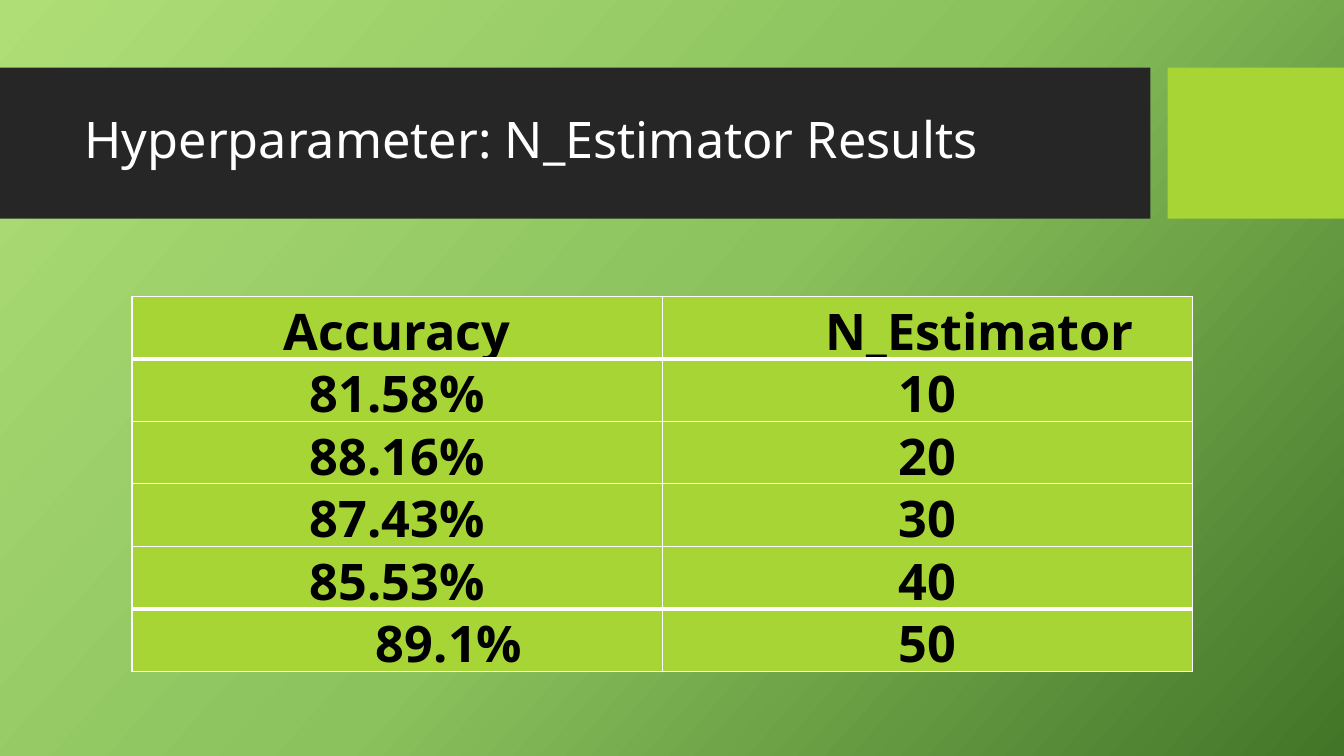
import copy
import pptx
import pptx.util
import pptx.dml.color
import pptx.enum.shapes
import pptx.enum.text
import pptx.oxml
import pptx.oxml.ns
from dataclasses import dataclass

Inches, Pt = pptx.util.Inches, pptx.util.Pt
RGB = pptx.dml.color.RGBColor.from_string
qn = pptx.oxml.ns.qn
Align = pptx.enum.text.PP_ALIGN
Anchor = pptx.enum.text.MSO_ANCHOR

# Content
TITLE = "Hyperparameter: N_Estimator Results"
ROWS = [
    ("Accuracy", "N_Estimator"),
    ("81.58%", "10"),
    ("88.16%", "20"),
    ("87.43%", "30"),
    ("85.53%", "40"),
    ("89.1%", "50"),
]
INDENTED = {"N_Estimator", "89.1%"}


@dataclass(frozen=True)
class Theme:
    font: str = "Noto Sans"
    size: int = 36
    dark: str = "262626"
    lime: str = "A7D535"
    white: str = "FFFFFF"
    black: str = "000000"
    grad: tuple = ((0, "AFDE77"), (0.5, "8BC25D"), (1, "437528"))
    angle: int = 318
    thin: int = 1
    thick: int = 3


THEME = Theme()


def paint(slide):
    fill = slide.background.fill
    fill.gradient()
    fill.gradient_angle = THEME.angle
    stops = next(slide.element.iter(qn("a:gsLst")))
    stops.insert(1, copy.deepcopy(stops[0]))
    for stop, (place, color) in zip(fill.gradient_stops, THEME.grad):
        stop.position = place
        stop.color.rgb = RGB(color)


def block(slide, left, width, color):
    rect = slide.shapes.add_shape(
        pptx.enum.shapes.MSO_SHAPE.RECTANGLE,
        Inches(left), Inches(0.67), Inches(width), Inches(1.5))
    rect.shadow.inherit = False
    rect.fill.solid()
    rect.fill.fore_color.rgb = RGB(color)
    rect.line.fill.background()


def write(frame, text, color, bold=False):
    frame.text = text
    para = frame.paragraphs[0]
    font = para.runs[0].font
    font.name, font.size, font.bold = THEME.font, Pt(THEME.size), bold
    font.color.rgb = RGB(color)
    return para


def border(cell, widths):
    props = cell._tc.get_or_add_tcPr()
    for index, (side, width) in enumerate(zip("LRTB", widths)):
        line = pptx.oxml.parse_xml(
            f'<a:ln{side} {pptx.oxml.ns.nsdecls("a")} w="{Pt(width)}">'
            f'<a:solidFill><a:srgbClr val="{THEME.white}"/></a:solidFill>'
            f'</a:ln{side}>')
        props.insert(index, line)


def grid(slide):
    count = len(ROWS)
    table = slide.shapes.add_table(
        count, 2, Inches(1.31), Inches(2.94),
        Inches(10.52), Inches(0.62 * count)).table
    # Heavy rules sit below the header and above the last row
    rules = [THEME.thin] * (count + 1)
    rules[1] = rules[-2] = THEME.thick
    for r, row in enumerate(ROWS):
        for c, text in enumerate(row):
            cell = table.cell(r, c)
            cell.margin_left = cell.margin_right = 0
            cell.margin_top = cell.margin_bottom = 0
            cell.fill.solid()
            cell.fill.fore_color.rgb = RGB(THEME.lime)
            para = write(cell.text_frame, text, THEME.black, True)
            para.alignment = Align.CENTER
            if text in INDENTED:
                para._p.get_or_add_pPr().set("marL", str(Inches(1.03)))
            border(cell, (THEME.thin, THEME.thin, rules[r], rules[r + 1]))


def main():
    deck = pptx.Presentation()
    deck.slide_width, deck.slide_height = Inches(13.33), Inches(7.5)
    slide = deck.slides.add_slide(deck.slide_layouts[6])
    paint(slide)

    # Title band
    block(slide, 0, 11.41, THEME.dark)
    block(slide, 11.58, 1.75, THEME.lime)
    box = slide.shapes.add_textbox(
        Inches(0.74), Inches(0.82), Inches(10.51), Inches(1.18))
    frame = box.text_frame
    frame.word_wrap = True
    frame.vertical_anchor = Anchor.MIDDLE
    write(frame, TITLE, THEME.white).line_spacing = 0.9

    # Results table
    grid(slide)
    deck.save("out.pptx")


if __name__ == "__main__":
    main()
